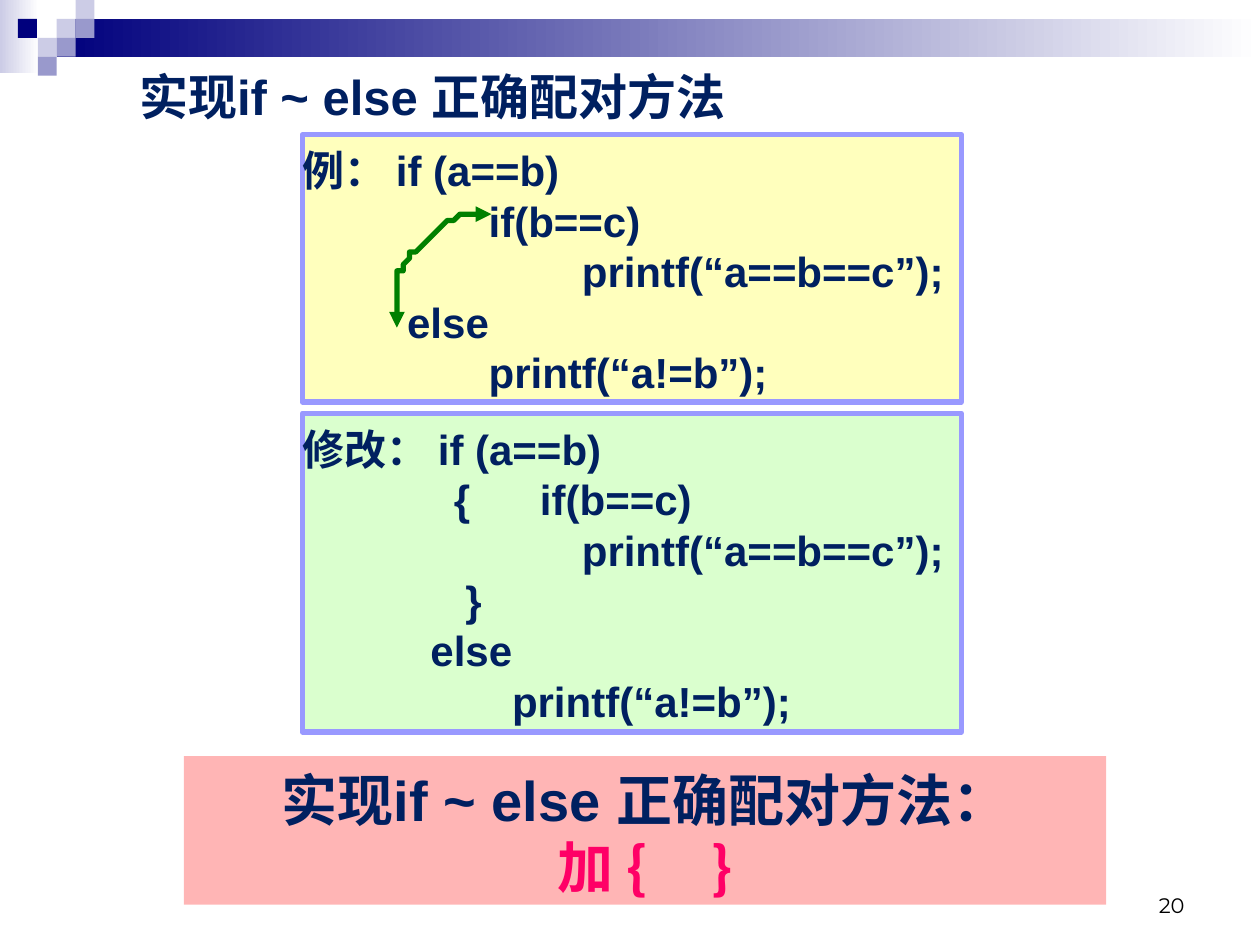
"""Build the slide on pairing if and else correctly in C."""
from dataclasses import dataclass

from lxml import etree
from pptx import Presentation
from pptx.dml.color import RGBColor
from pptx.enum.shapes import MSO_SHAPE
from pptx.enum.text import MSO_ANCHOR, PP_ALIGN
from pptx.oxml.ns import qn
from pptx.util import Emu, Inches, Pt

RECTANGLE = MSO_SHAPE.RECTANGLE
MIDDLE, BOTTOM, TOP = MSO_ANCHOR.MIDDLE, MSO_ANCHOR.BOTTOM, MSO_ANCHOR.TOP
LEFT, CENTER, RIGHT = PP_ALIGN.LEFT, PP_ALIGN.CENTER, PP_ALIGN.RIGHT
LATIN, CHINESE, NUMBER = "Arial", "Noto Sans CJK SC", "Montserrat"
TITLE_ONLY = 5
GRID_COLUMNS = 200
SLIDE_WIDTH, SLIDE_HEIGHT = Inches(10), Inches(7.5)
CELL = SLIDE_WIDTH / GRID_COLUMNS
LINE_FACTOR = 1.2
COLORS = {
    "navy": "00007D", "pale": "CCCCE6", "lilac": "9999CC", "white": "FFFFFF",
    "text": "002060", "accent": "FF0066", "border": "9999FF", "black": "000000",
    "yellow": "FFFF00", "green": "66FF33", "red": "FF0000", "arrow": "008000",
}


@dataclass(frozen=True)
class Area:
    """Place and size in grid columns and rows."""
    column: float
    row: float
    columns: float
    rows: float

    def lengths(self) -> list[Emu]:
        """Return left, top, width and height."""
        return [Emu(round(value * CELL))
                for value in (self.column, self.row, self.columns, self.rows)]


@dataclass(frozen=True)
class Piece:
    """A stretch of text in one font and colour."""
    text: str
    font: str = LATIN
    color: str = "text"


@dataclass(frozen=True)
class Panel:
    """A tinted box with lines of text."""
    area: Area
    tint: str
    opacity: int
    lines: list[list[Piece]]
    size: int
    alignment: PP_ALIGN
    anchor: MSO_ANCHOR
    border: bool


BANDS = [(Area(0, 0, 6.2, 11.6), "pale"), (Area(9, 3, 191, 6), "navy")]
SQUARE = 3
SQUARES = [(3, 1, "pale"), (4, 0, "pale"), (4, 1, "lilac"), (2, 2, "pale"),
           (0.95, 1, "navy"), (3, 2, "lilac"), (2, 3, "lilac")]
HEADING = [Piece("实现", CHINESE), Piece("if ~ else "), Piece("正确配对方法", CHINESE)]
EXAMPLE = [
    "                if(b==c)",
    "                        printf(“a==b==c”);",
    "         else",
    "                printf(“a!=b”);",
]
CORRECTION = [
    "             {      if(b==c)",
    "                        printf(“a==b==c”);",
    "              }",
    "           else",
    "                  printf(“a!=b”);",
]
CURVES = [
    [(62.8, 51.8), (62.2, 46), (62.4, 41.8), (67.6, 38.4)],
    [(67.6, 38.4), (70, 34.4), (73.8, 34), (78, 34)],
]
CURVE_STEPS = 16


def rgb(name: str) -> RGBColor:
    """Look up a colour of the palette."""
    return RGBColor.from_string(COLORS[name])


def code_lines(label: str, lines: list[str]) -> list[list[Piece]]:
    """Put the label and the outer if above the other code lines."""
    first = [Piece(label, CHINESE), Piece("if (a==b)")]
    return [first] + [[Piece(line)] for line in lines]


def write(paragraph, pieces: list[Piece], size: float, alignment: PP_ALIGN,
          bold: bool = True) -> None:
    """Fill a paragraph with formatted runs."""
    paragraph.alignment = alignment
    for piece in pieces:
        run = paragraph.add_run()
        run.text = piece.text
        run.font.size, run.font.bold = Pt(size), bold
        run.font.name = piece.font
        run.font.color.rgb = rgb(piece.color)
        east_asian = etree.SubElement(run.font._element, qn("a:ea"))
        east_asian.set("typeface", CHINESE)


def add_rectangle(slide, area: Area):
    """Add a rectangle without shadow or outline."""
    shape = slide.shapes.add_shape(RECTANGLE, *area.lengths())
    shape.shadow.inherit = False
    shape.line.fill.background()
    return shape


def add_band(slide, area: Area, color: str) -> None:
    """Add a band that fades to white on the right."""
    fill = add_rectangle(slide, area).fill
    fill.gradient()
    fill.gradient_angle = 0
    for stop, name, position in zip(fill.gradient_stops, (color, "white"), (0, 1)):
        stop.color.rgb = rgb(name)
        stop.position = position


def add_square(slide, column: float, row: float, color: str) -> None:
    """Add one tile of the corner mosaic."""
    area = Area(column * SQUARE, row * SQUARE, SQUARE, SQUARE)
    fill = add_rectangle(slide, area).fill
    fill.solid()
    fill.fore_color.rgb = rgb(color)


def add_panel(slide, panel: Panel) -> None:
    """Add a translucent box and its text."""
    shape = add_rectangle(slide, panel.area)
    shape.fill.solid()
    shape.fill.fore_color.rgb = rgb(panel.tint)
    color = shape.fill._xPr.find(".//" + qn("a:srgbClr"))
    etree.SubElement(color, qn("a:alpha")).set("val", str(panel.opacity * 1000))
    if panel.border:
        shape.line.color.rgb = rgb("border")
        shape.line.width = Pt(3)
    frame = shape.text_frame
    frame.word_wrap = panel.alignment == CENTER
    frame.vertical_anchor = panel.anchor
    frame.margin_left = Inches(0.1 if panel.alignment == CENTER else 0)
    frame.margin_top, frame.margin_bottom = Inches(0.08), Inches(0.04)
    for index, pieces in enumerate(panel.lines):
        paragraph = frame.add_paragraph() if index else frame.paragraphs[0]
        paragraph.line_spacing = Pt(panel.size * LINE_FACTOR)
        write(paragraph, pieces, panel.size, panel.alignment)


def curve_point(controls: list[tuple[float, float]], share: float) -> tuple[float, float]:
    """Return the point at a share of a cubic curve."""
    rest = 1 - share
    weights = (rest ** 3, 3 * rest ** 2 * share, 3 * rest * share ** 2, share ** 3)
    return tuple(sum(weight * control[axis] for weight, control in zip(weights, controls))
                 for axis in (0, 1))


def add_pairing_arrow(slide) -> None:
    """Add the curved double arrow between else and the inner if."""
    points = [curve_point(controls, step / CURVE_STEPS)
              for controls in CURVES for step in range(1, CURVE_STEPS + 1)]
    builder = slide.shapes.build_freeform(*CURVES[0][0], scale=CELL)
    builder.add_line_segments(points, close=False)
    shape = builder.convert_to_shape()
    shape.shadow.inherit = False
    shape.fill.background()
    shape.line.color.rgb = rgb("arrow")
    shape.line.width = Pt(3)
    line = shape.line._get_or_add_ln()
    for end in ("a:headEnd", "a:tailEnd"):
        etree.SubElement(line, qn(end)).set("type", "triangle")


def add_title(slide) -> None:
    """Place and format the title."""
    title = slide.shapes.title
    title.left, title.top, title.width, title.height = Area(4, 7.2, 129.2, 16.2).lengths()
    title.text_frame.vertical_anchor = MIDDLE
    write(title.text_frame.paragraphs[0], HEADING, 28, CENTER)


def add_page_number(slide) -> None:
    """Add the page number at the lower right."""
    frame = slide.shapes.add_textbox(*Area(143.4, 136.6, 46.6, 10).lengths()).text_frame
    frame.word_wrap = True
    frame.vertical_anchor = BOTTOM
    write(frame.paragraphs[0], [Piece("20", NUMBER, "black")], 12, RIGHT, bold=False)


def main() -> None:
    """Build and save the presentation."""
    conclusion = [HEADING[:2] + [Piece("正确配对方法：", CHINESE)],
                  [Piece("加 {     }", CHINESE, "accent")]]
    panels = [
        Panel(Area(48, 21.4, 104.6, 42.4), "yellow", 26,
              code_lines("例： ", EXAMPLE), 24, LEFT, TOP, True),
        Panel(Area(48, 65.6, 104.6, 50.6), "green", 24,
              code_lines("修改： ", CORRECTION), 24, LEFT, TOP, True),
        Panel(Area(29.2, 120, 146.4, 23.6), "red", 29, conclusion, 32, CENTER, MIDDLE, False),
    ]
    presentation = Presentation()
    presentation.slide_width, presentation.slide_height = SLIDE_WIDTH, SLIDE_HEIGHT
    slide = presentation.slides.add_slide(presentation.slide_layouts[TITLE_ONLY])
    for area, color in BANDS:
        add_band(slide, area, color)
    for column, row, color in SQUARES:
        add_square(slide, column, row, color)
    for panel in panels:
        add_panel(slide, panel)
    add_pairing_arrow(slide)
    add_title(slide)
    add_page_number(slide)
    presentation.save("out.pptx")


if __name__ == "__main__":
    main()
